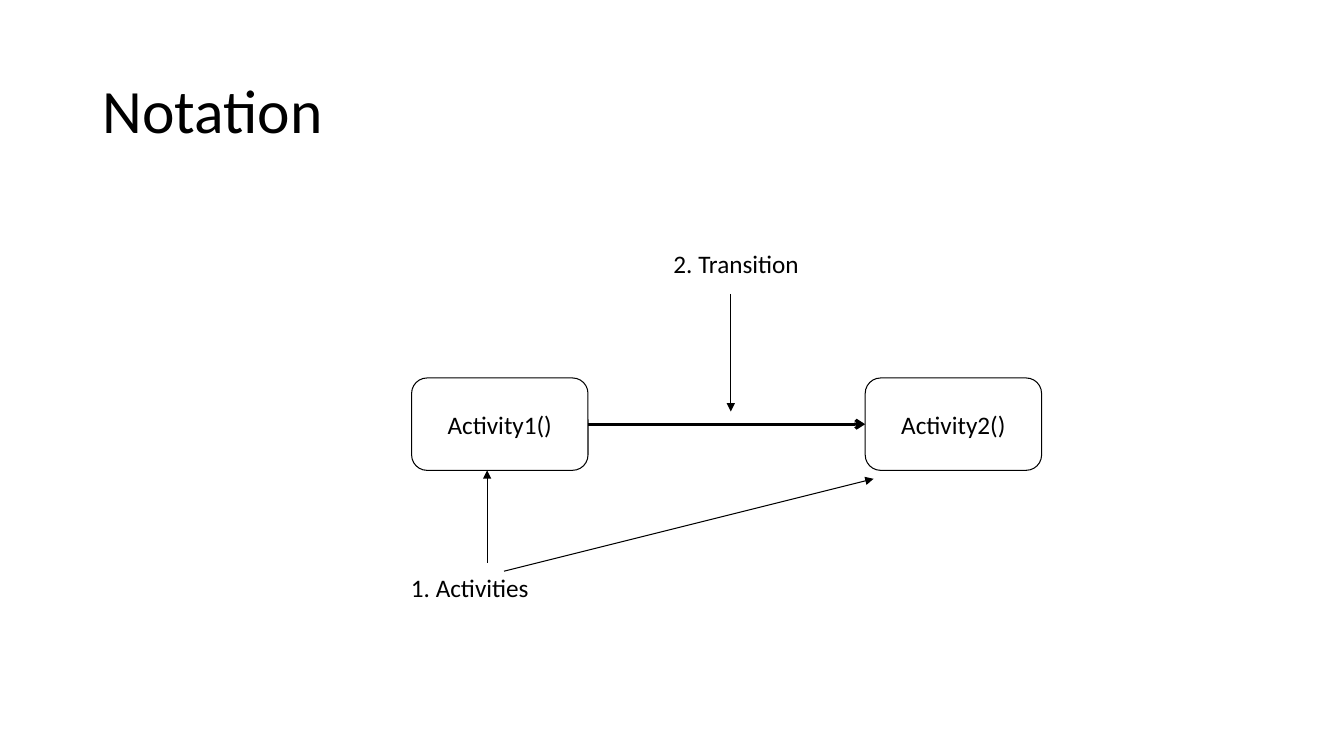
"""Build the activity diagram notation slide."""
from dataclasses import dataclass

from lxml import etree
from pptx import Presentation
from pptx import util as u
from pptx.dml.color import RGBColor
from pptx.enum import shapes, text
from pptx.oxml import ns

BLACK = RGBColor(0x00, 0x00, 0x00)
WHITE = RGBColor(0xFF, 0xFF, 0xFF)
FONT = "Calibri"
ACTIVITY_TOP, ACTIVITY_WIDTH, ACTIVITY_HEIGHT = 270, 126, 66
TRANSITION_Y = ACTIVITY_TOP + ACTIVITY_HEIGHT / 2
LABEL_HEIGHT = 29


@dataclass
class Activity:
    name: str
    left: float


@dataclass
class Label:
    wording: str
    left: float
    top: float
    width: float


@dataclass
class Arrow:
    start: tuple[float, float]
    end: tuple[float, float]
    weight: float = 0.75
    head: str = "triangle"


ACTIVITIES = [Activity("Activity1()", 294), Activity("Activity2()", 618)]
LABELS = [
    Label("1. Activities", 286.5, 405.5, 99.5),
    Label("2. Transition", 474, 174, 105),
]
TRANSITION = Arrow((294 + ACTIVITY_WIDTH, TRANSITION_Y), (618, TRANSITION_Y), 2.25, "arrow")
POINTERS = [
    Arrow((348, 402), (348, 336)),
    Arrow((360, 408), (624, 342)),
    Arrow((522, 210), (522, 294)),
]


def write(paragraph, wording: str, size: float, alignment) -> None:
    paragraph.alignment = alignment
    run = paragraph.add_run()
    run.text = wording
    run.font.name = FONT
    run.font.size = u.Pt(size)
    run.font.color.rgb = BLACK


def fill_title(title, wording: str) -> None:
    title.left, title.top = u.Pt(66), u.Pt(29)
    title.width, title.height = u.Pt(828), u.Pt(104.5)
    frame = title.text_frame
    frame.auto_size = text.MSO_AUTO_SIZE.NONE
    frame.vertical_anchor = text.MSO_ANCHOR.MIDDLE
    heading = frame.paragraphs[0]
    heading.line_spacing = 0.9
    write(heading, wording, 44, text.PP_ALIGN.LEFT)


def draw_activity(slide, activity: Activity):
    box = slide.shapes.add_shape(
        shapes.MSO_SHAPE.ROUNDED_RECTANGLE, u.Pt(activity.left), u.Pt(ACTIVITY_TOP),
        u.Pt(ACTIVITY_WIDTH), u.Pt(ACTIVITY_HEIGHT))
    box.shadow.inherit = False
    box.fill.solid()
    box.fill.fore_color.rgb = WHITE
    box.line.color.rgb = BLACK
    box.line.width = u.Pt(0.75)
    frame = box.text_frame
    frame.word_wrap = False
    frame.vertical_anchor = text.MSO_ANCHOR.MIDDLE
    write(frame.paragraphs[0], activity.name, 18, text.PP_ALIGN.CENTER)
    return box


def draw_label(slide, label: Label) -> None:
    box = slide.shapes.add_textbox(
        u.Pt(label.left), u.Pt(label.top), u.Pt(label.width), u.Pt(LABEL_HEIGHT))
    frame = box.text_frame
    frame.word_wrap = False
    frame.auto_size = text.MSO_AUTO_SIZE.SHAPE_TO_FIT_TEXT
    write(frame.paragraphs[0], label.wording, 18, text.PP_ALIGN.LEFT)


def draw_arrow(slide, arrow: Arrow):
    ends = [u.Pt(value) for value in arrow.start + arrow.end]
    line = slide.shapes.add_connector(shapes.MSO_CONNECTOR.STRAIGHT, *ends)
    line.line.color.rgb = BLACK
    line.line.width = u.Pt(arrow.weight)
    etree.SubElement(line.line._get_or_add_ln(), ns.qn("a:tailEnd"), type=arrow.head)
    etree.SubElement(line._element.spPr, ns.qn("a:effectLst"))
    return line


def main() -> None:
    deck = Presentation()
    deck.slide_width, deck.slide_height = u.Pt(960), u.Pt(540)
    slide = deck.slides.add_slide(deck.slide_layouts.get_by_name("Title Only"))
    fill_title(slide.shapes.title, "Notation")

    source, target = [draw_activity(slide, activity) for activity in ACTIVITIES]
    transition = draw_arrow(slide, TRANSITION)
    transition.begin_connect(source, 3)
    transition.end_connect(target, 1)

    for label in LABELS:
        draw_label(slide, label)
    for pointer in POINTERS:
        draw_arrow(slide, pointer)
    deck.save("out.pptx")


if __name__ == "__main__":
    main()
